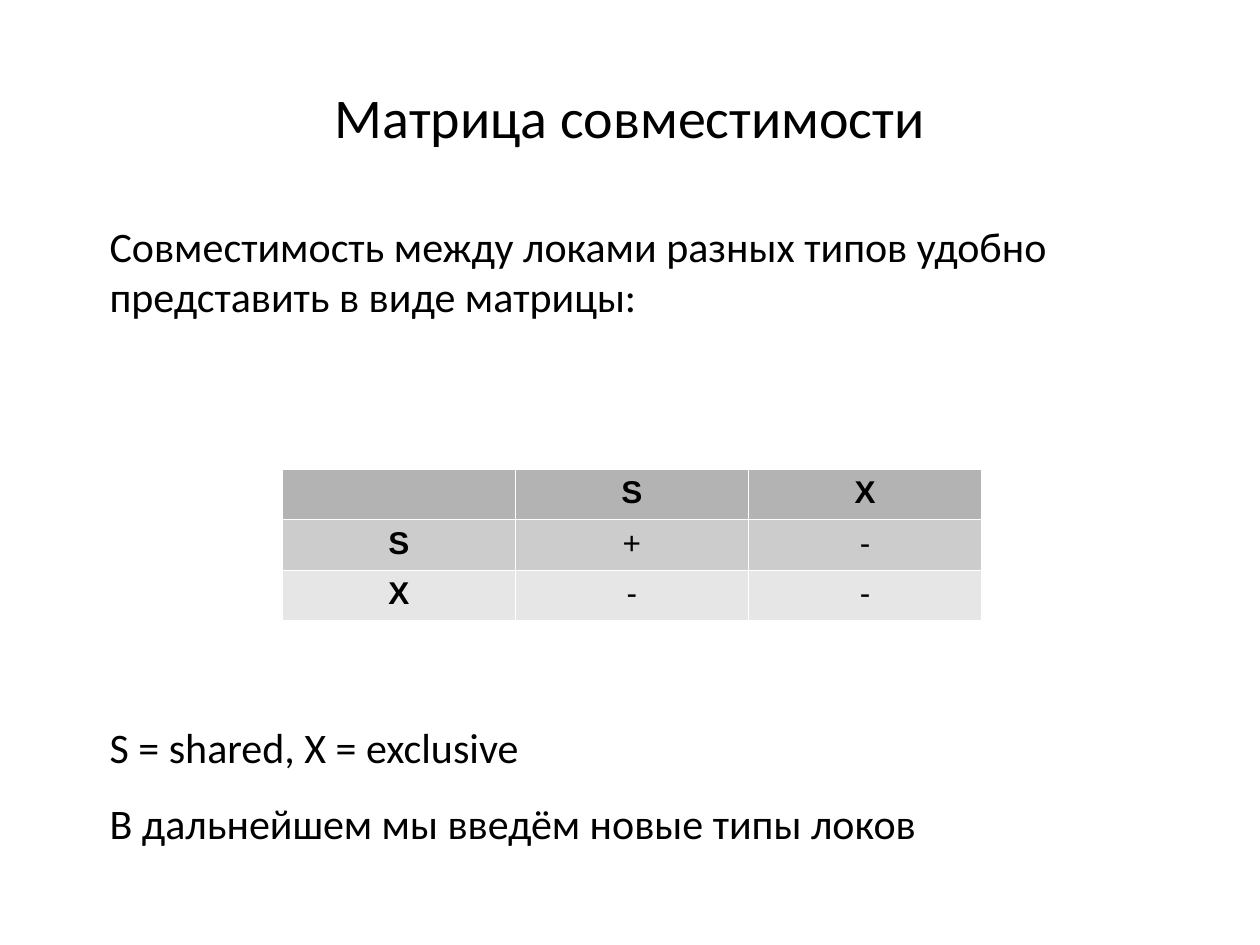
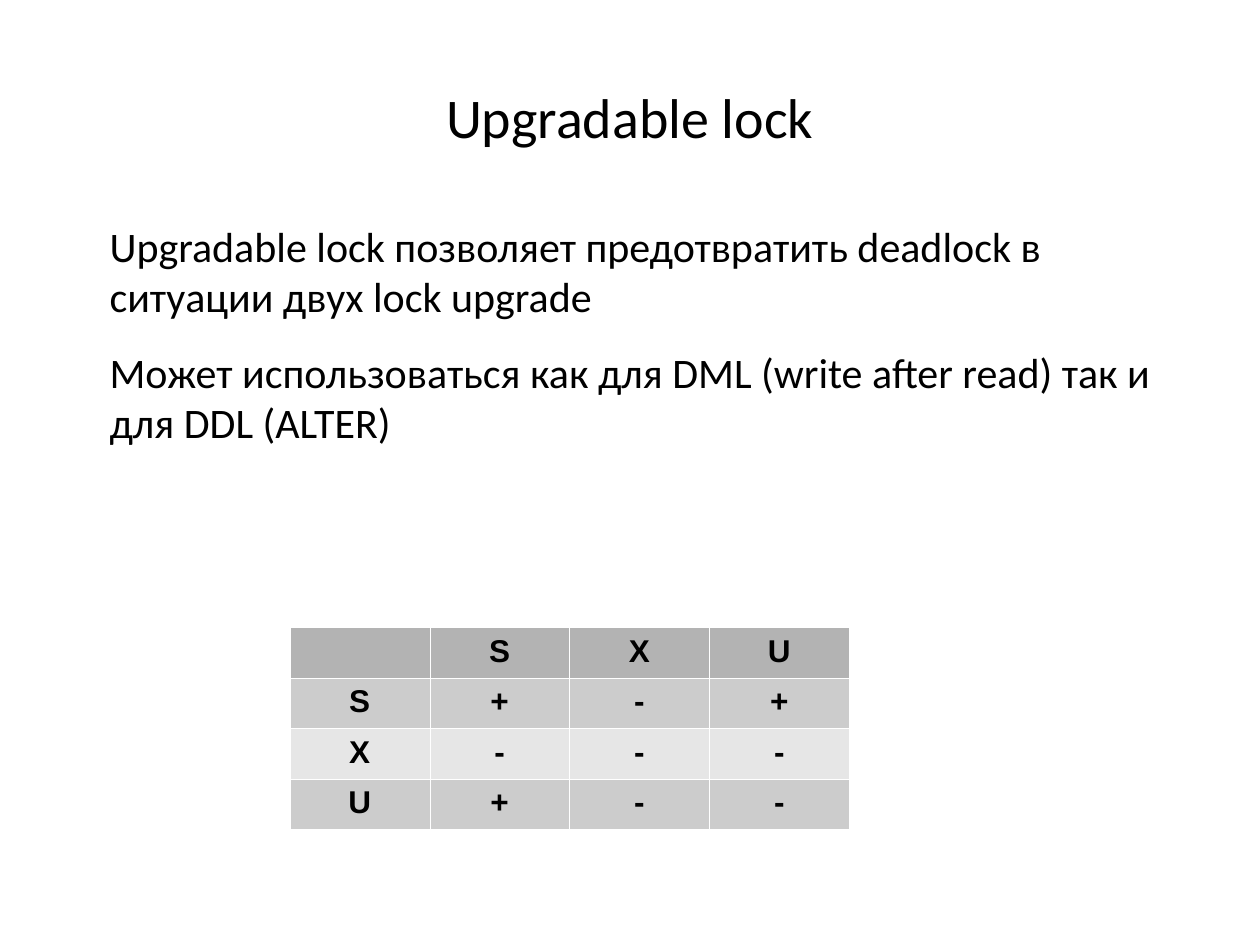
from lxml import etree
from pptx import Presentation
from pptx import util as u
from pptx.dml.color import RGBColor
from pptx.enum import text
from pptx.oxml.ns import qn

COLORS = {
    "ink": "000000",
    "paper": "FFFFFF",
    "header": "B3B3B3",
    "odd_row": "CCCCCC",
    "even_row": "E6E6E6",
}
TEXT_FONT = "Calibri"
TABLE_FONT = "Arial"
BODY_TOP = 1.75


def color(name):
    return RGBColor.from_string(COLORS[name])


def style_font(font, family, size, bold=False):
    font.name = family
    font.size = u.Pt(size)
    font.bold = bold
    font.color.rgb = color("ink")


def add_text(slide, lines, left, top, width, height, size):
    """Add a text box without insets, one paragraph per line of text."""
    frame = slide.shapes.add_textbox(
        u.Inches(left), u.Inches(top), u.Inches(width), u.Inches(height)
    ).text_frame
    frame.word_wrap = True
    frame.margin_left = frame.margin_right = 0
    frame.margin_top = frame.margin_bottom = 0
    frame.text = "\n".join(lines)
    for paragraph in frame.paragraphs:
        for run in paragraph.runs:
            style_font(run.font, TEXT_FONT, size)
    return frame


def add_title(slide, title):
    frame = add_text(slide, [title], 0.5, 0.3, 9, 1.25, 32)
    frame.vertical_anchor = text.MSO_ANCHOR.MIDDLE
    frame.paragraphs[0].alignment = text.PP_ALIGN.CENTER


def add_body(slide, lines, height, top=BODY_TOP):
    frame = add_text(slide, lines, 0.87, top, 8.53, height, 24)
    for paragraph in frame.paragraphs:
        paragraph.space_after = u.Pt(14.2)


def add_borders(cell):
    properties = cell._tc.get_or_add_tcPr()
    for side in ("lnL", "lnR", "lnT", "lnB"):
        line = etree.SubElement(properties, qn(f"a:{side}"), w=str(u.Pt(0.06)))
        fill = etree.SubElement(line, qn("a:solidFill"))
        etree.SubElement(fill, qn("a:srgbClr"), val=COLORS["paper"])


def fill_cell(cell, label, fill, bold):
    add_borders(cell)
    cell.fill.solid()
    cell.fill.fore_color.rgb = color(fill)
    paragraph = cell.text_frame.paragraphs[0]
    paragraph.alignment = text.PP_ALIGN.CENTER
    if label:
        paragraph.text = label
        style_font(paragraph.runs[0].font, TABLE_FONT, 18, bold)
    else:
        # Keeps the empty corner from stretching the header row
        etree.SubElement(paragraph._p, qn("a:endParaRPr"), sz="1200")


def add_lock_matrix(slide, locks, marks, left, top, column, row, bold_marks):
    """Draw a compatibility table; marks holds one string of signs per lock."""
    size = len(locks) + 1
    matrix = slide.shapes.add_table(
        size, size, u.Inches(left), u.Inches(top),
        u.Inches(column * size), u.Inches(row * size),
    ).table
    matrix.horz_banding = False
    grid = [["", *locks]] + [[lock, *signs] for lock, signs in zip(locks, marks)]
    for r, labels in enumerate(grid):
        matrix.rows[r].height = u.Inches(row)
        matrix.columns[r].width = u.Inches(column)
        fill = "header" if r == 0 else "odd_row" if r % 2 else "even_row"
        for c, label in enumerate(labels):
            bold = bold_marks or r == 0 or c == 0
            fill_cell(matrix.cell(r, c), label, fill, bold)


def add_slide(deck, title):
    slide = deck.slides.add_slide(deck.slide_layouts[6])
    slide.background.fill.solid()
    slide.background.fill.fore_color.rgb = color("paper")
    add_title(slide, title)
    return slide


def build_compatibility(deck):
    slide = add_slide(deck, "Матрица совместимости")
    add_body(slide, [
        "Совместимость между локами разных типов удобно представить в виде матрицы:",
    ], height=1)
    add_body(slide, [
        "S = shared, X = exclusive",
        "В дальнейшем мы введём новые типы локов",
    ], height=1, top=5.73)
    add_lock_matrix(slide, "SX", ["+-", "--"], left=2.24, top=3.72,
                    column=1.85, row=0.38, bold_marks=False)


def build_upgradable(deck):
    slide = add_slide(deck, "Upgradable lock")
    add_lock_matrix(slide, "SXU", ["+-+", "---", "+--"], left=2.3, top=4.98,
                    column=1.11, row=0.4, bold_marks=True)
    add_body(slide, [
        "Upgradable lock позволяет предотвратить deadlock в ситуации двух lock upgrade",
        "Может использоваться как для DML (write after read) так и для DDL (ALTER)",
    ], height=2)


def main():
    deck = Presentation()
    deck.slide_width = u.Inches(10)
    deck.slide_height = u.Inches(7.5)
    build_compatibility(deck)
    build_upgradable(deck)
    deck.save("out.pptx")


if __name__ == "__main__":
    main()
